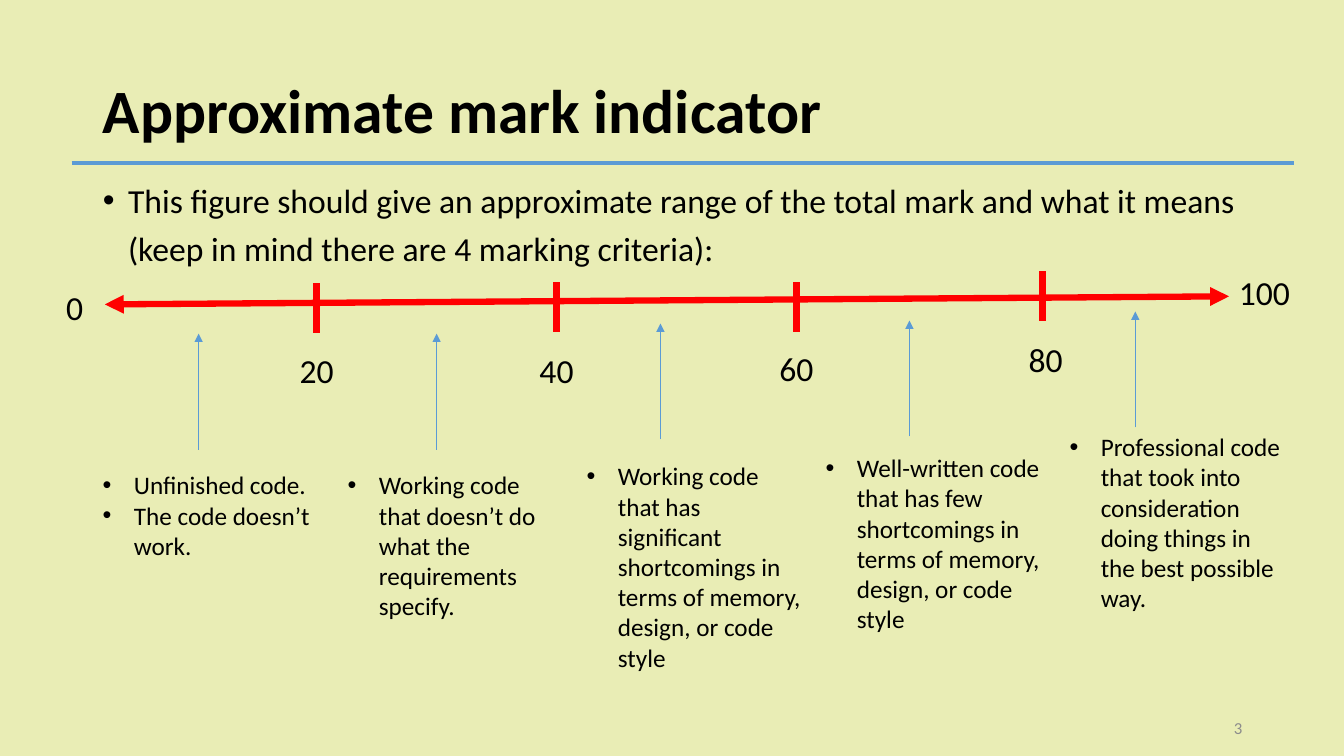
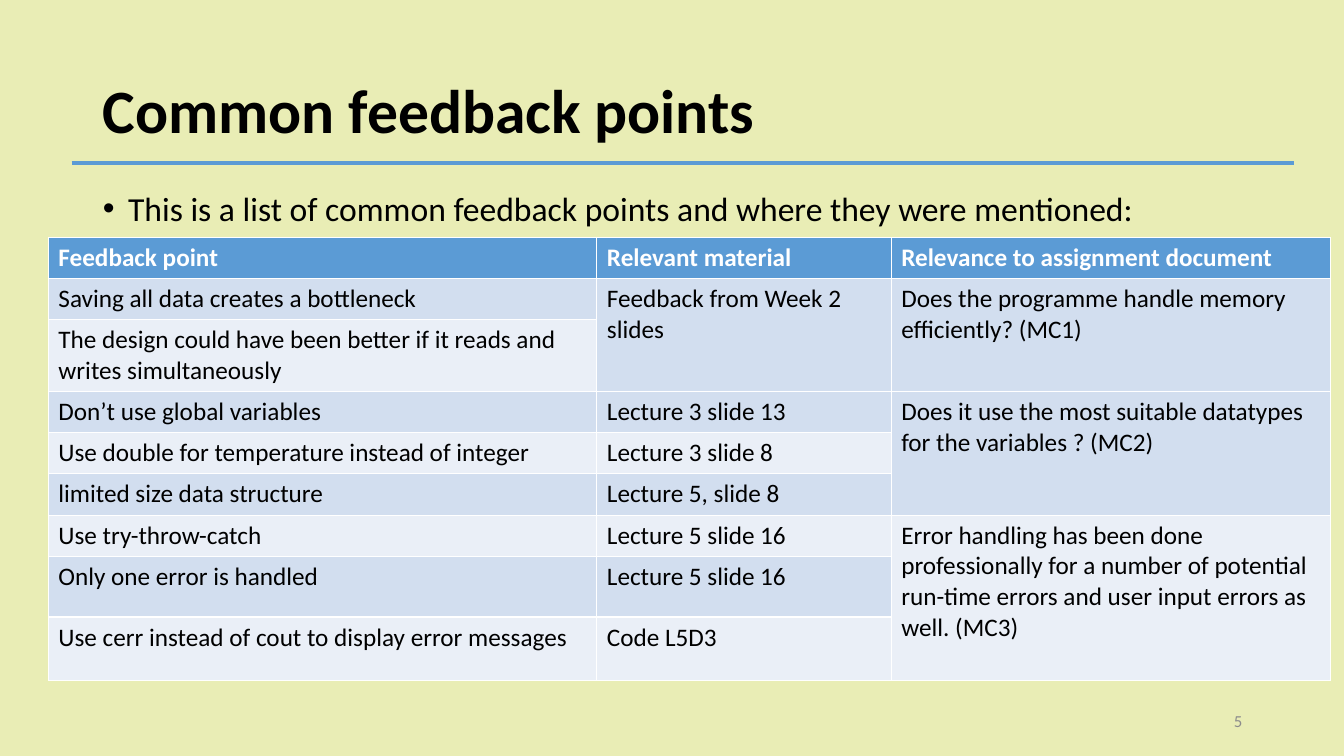
from lxml import etree
from pptx import Presentation
from pptx.dml.color import RGBColor
from pptx.enum.shapes import MSO_CONNECTOR
from pptx.enum.text import MSO_ANCHOR, MSO_AUTO_SIZE, PP_ALIGN
from pptx.oxml.ns import qn
from pptx.util import Inches, Pt

LEFT, CENTER, RIGHT = PP_ALIGN.LEFT, PP_ALIGN.CENTER, PP_ALIGN.RIGHT
TOP, MIDDLE = MSO_ANCHOR.TOP, MSO_ANCHOR.MIDDLE
NO_FIT = MSO_AUTO_SIZE.NONE
STRAIGHT = MSO_CONNECTOR.STRAIGHT

color = RGBColor.from_string
BACKGROUND, BLACK, WHITE, GREY = "E9EDB5", "000000", "FFFFFF", "8C8C8C"
BLUE, RED = "5B9BD5", "FF0000"
BANDS = ["EAEFF7", "D2DEEF"]


def write(frame, texts, size, ink=BLACK, bold=False, align=LEFT, anchor=TOP,
          indent=0, spacing=None, before=0):
    """Fill a text frame; an indent above zero gives bulleted paragraphs."""
    for name, value in {"word_wrap": True, "auto_size": NO_FIT,
                        "vertical_anchor": anchor}.items():
        setattr(frame, name, value)
    frame.text = "\n".join(texts)
    for paragraph in frame.paragraphs:
        for name, value in {"alignment": align, "line_spacing": spacing,
                            "space_before": Pt(before)}.items():
            setattr(paragraph, name, value)
        for name, value in {"name": "Calibri", "size": Pt(size), "bold": bold}.items():
            setattr(paragraph.runs[0].font, name, value)
        paragraph.runs[0].font.color.rgb = color(ink)
        if indent:
            properties = paragraph._p.get_or_add_pPr()
            properties.set("marL", str(Inches(indent)))
            properties.set("indent", str(-Inches(indent)))
            etree.SubElement(properties, qn("a:buFont")).set("typeface", "Arial")
            etree.SubElement(properties, qn("a:buChar")).set("char", "•")


def draw_line(slide, x1, y1, x2, y2, ink, width, arrows=()):
    """Draw a straight line with triangles at the ends named in arrows."""
    connector = slide.shapes.add_connector(
        STRAIGHT, Inches(x1), Inches(y1), Inches(x2), Inches(y2))
    connector.line.color.rgb = color(ink)
    connector.line.width = Pt(width)
    for end in arrows:
        etree.SubElement(connector.line._ln, qn(end)).set("type", "triangle")
    etree.SubElement(connector._element.spPr, qn("a:effectLst"))


prs = Presentation()
prs.slide_width, prs.slide_height = Inches(13.33), Inches(7.5)
prs.slide_master.background.fill.solid()
prs.slide_master.background.fill.fore_color.rgb = color(BACKGROUND)

# Shared frame: title, rule, introduction and page number
pages = [
    ("Approximate mark indicator",
     "This figure should give an approximate range of the total mark and what it "
     "means (keep in mind there are 4 marking criteria):",
     (0.92, 1.65, 11.5, 4.76), 1.2, "3", 7.02),
    ("Common feedback points",
     "This is a list of common feedback points and where they were mentioned:",
     (0.92, 1.61, 12.03, 4.95), 1.5, "5", 6.95),
]
slides = []
for heading, intro, intro_box, spacing, number, number_top in pages:
    slide = prs.slides.add_slide(prs.slide_layouts[1])
    title, body = slide.placeholders
    page_number = slide.shapes.add_textbox(0, 0, 0, 0)
    for part, box in [(title, (0.92, 0.4, 11.5, 1.45)), (body, intro_box),
                      (page_number, (9.42, number_top, 3, 0.4))]:
        part.left, part.top, part.width, part.height = map(Inches, box)
    write(title.text_frame, [heading], 44, bold=True, anchor=MIDDLE, spacing=0.9)
    write(body.text_frame, [intro], 24, indent=0.25, spacing=spacing, before=10)
    write(page_number.text_frame, [number], 12, GREY, align=RIGHT, anchor=MIDDLE)
    draw_line(slide, 0.71, 1.62, 12.83, 1.62, BLUE, 3)
    slides.append(slide)
mark_slide, feedback_slide = slides

# Mark scale with its ticks
draw_line(mark_slide, 1.04, 3.02, 12.19, 2.94, RED, 4.5, ["a:headEnd", "a:tailEnd"])
for tick_x, tick_top in [(3.14, 2.81), (5.52, 2.8), (7.9, 2.8), (10.34, 2.69)]:
    draw_line(mark_slide, tick_x, tick_top, tick_x, tick_top + 0.49, RED, 4.5)

# Marks: text, centre, top
for mark, center, top in [("0", 0.74, 2.8), ("20", 3.14, 3.42), ("40", 5.52, 3.42),
                          ("60", 7.9, 3.4), ("80", 10.37, 3.31), ("100", 12.54, 2.65)]:
    mark_label = mark_slide.shapes.add_textbox(
        Inches(center - 0.42), Inches(top), Inches(0.84), Inches(0.5))
    write(mark_label.text_frame, [mark], 24, align=CENTER)

# Ranges: left, top and height of the description, arrow x and tip, points
ranges = [
    (0.92, 4.61, 1.31, 1.97, 3.31, ["Unfinished code.", "The code doesn’t work."]),
    (3.35, 4.61, 1.92, 4.33, 3.31,
     ["Working code that doesn’t do what the requirements specify."]),
    (5.72, 4.52, 2.22, 6.55, 3.21,
     ["Working code that has significant shortcomings in terms of memory, design, "
      "or code style"]),
    (8.09, 4.44, 1.92, 9.02, 3.18,
     ["Well-written code that has few shortcomings in terms of memory, design, "
      "or code style"]),
    (10.51, 4.23, 1.92, 11.26, 3.09,
     ["Professional code that took into consideration doing things in the best "
      "possible way."]),
]
for left, top, height, arrow_x, tip, points in ranges:
    draw_line(mark_slide, arrow_x, tip + 1.15, arrow_x, tip, BLUE, 0.5, ["a:tailEnd"])
    description = mark_slide.shapes.add_textbox(
        Inches(left), Inches(top), Inches(2.37), Inches(height))
    write(description.text_frame, points, 18, indent=0.31)

# Feedback table: an empty text continues the cell above
feedback = [
    ("Feedback point", "Relevant material", "Relevance to assignment document"),
    ("Saving all data creates a bottleneck", "Feedback from Week 2 slides",
     "Does the programme handle memory efficiently? (MC1)"),
    ("The design could have been better if it reads and writes simultaneously", "", ""),
    ("Don’t use global variables", "Lecture 3 slide 13",
     "Does it use the most suitable datatypes for the variables ? (MC2)"),
    ("Use double for temperature instead of integer", "Lecture 3 slide 8", ""),
    ("limited size data structure", "Lecture 5, slide 8", ""),
    ("Use try-throw-catch", "Lecture 5 slide 16",
     "Error handling has been done professionally for a number of potential run-time "
     "errors and user input errors as well. (MC3)"),
    ("Only one error is handled", "Lecture 5 slide 16", ""),
    ("Use cerr instead of cout to display error messages", "Code L5D3", ""),
]
row_heights = [0.4, 0.4, 0.71, 0.41, 0.41, 0.41, 0.41, 0.6, 0.63]
column_widths = [5.44, 2.92, 4.36]
table = feedback_slide.shapes.add_table(
    len(feedback), len(column_widths), Inches(0.48), Inches(2.36),
    Inches(sum(column_widths)), Inches(sum(row_heights))).table
for column, width in zip(table.columns, column_widths):
    column.width = Inches(width)
for row, height in zip(table.rows, row_heights):
    row.height = Inches(height)
for first, last, column in [(1, 2, 1), (1, 2, 2), (3, 5, 2), (6, 8, 2)]:
    table.cell(first, column).merge(table.cell(last, column))
for r, texts in enumerate(feedback):
    header = r == 0
    for c, text in enumerate(texts):
        cell = table.cell(r, c)
        cell.fill.solid()
        cell.fill.fore_color.rgb = color(BLUE if header else BANDS[r % 2])
        if text:
            write(cell.text_frame, [text], 18, WHITE if header else BLACK, bold=header)

prs.save("out.pptx")
